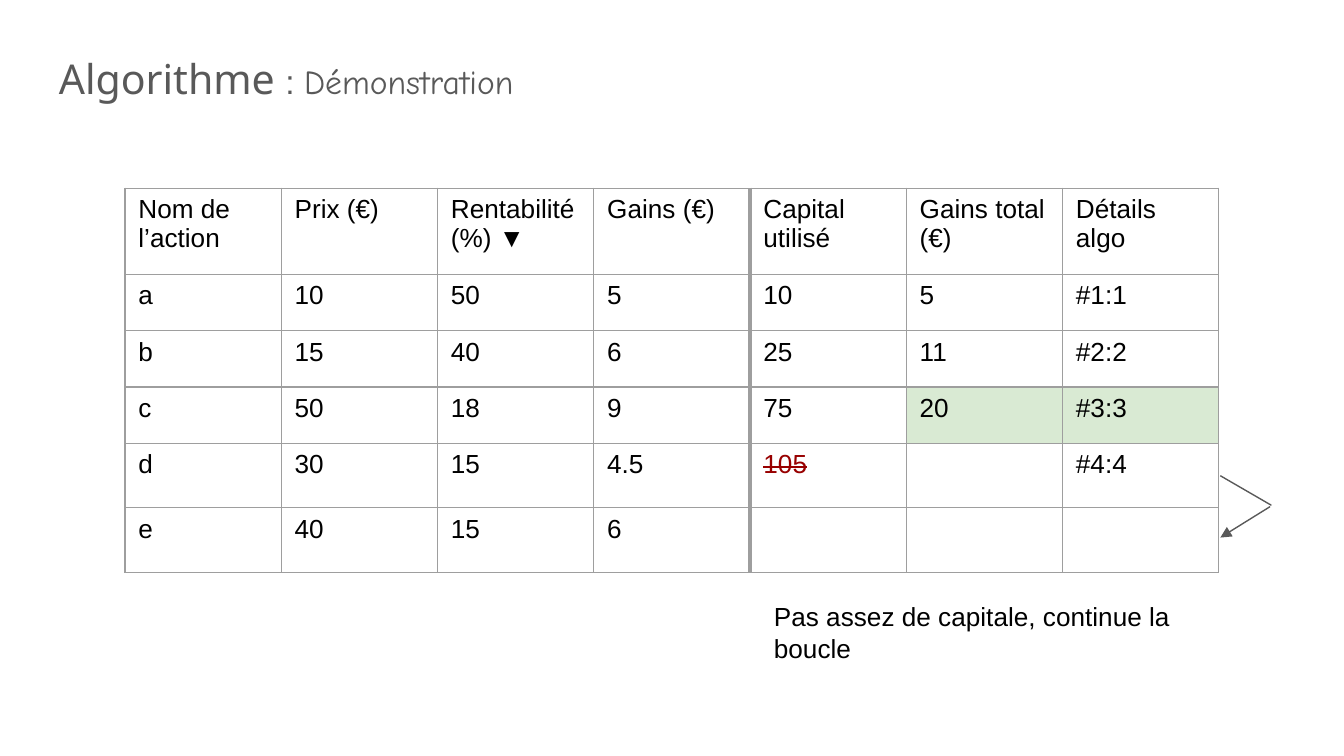
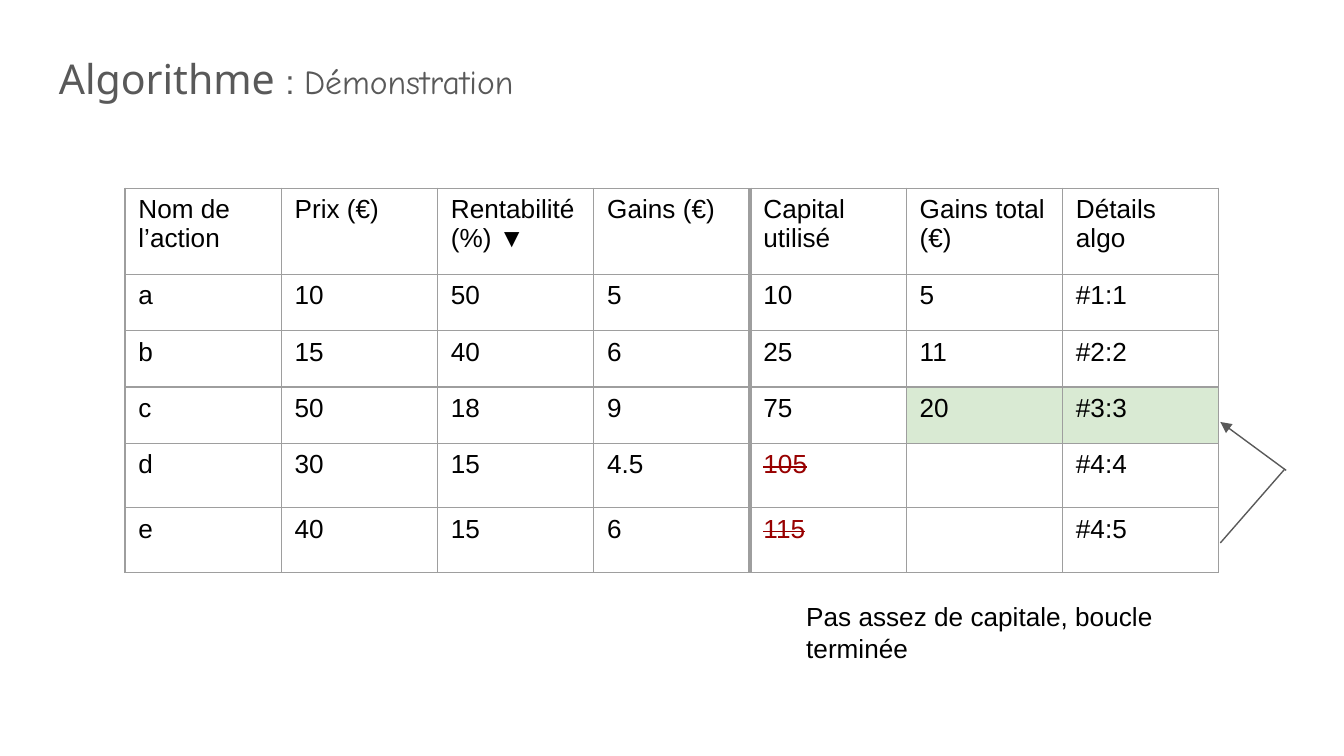
from dataclasses import dataclass

from lxml import etree
from pptx import Presentation
from pptx.dml.color import RGBColor
from pptx.enum import shapes, text
from pptx.oxml import ns
from pptx.util import Inches, Pt

BLACK, GREY, EDGE = "000000", "595959", "9E9E9E"
RED, GREEN, WHITE = "980000", "D9EAD3", "FFFFFF"

HEAD = ["Nom de l’action", "Prix (€)", "Rentabilité (%) ▼", "Gains (€)",
        "Capital utilisé", "Gains total (€)", "Détails algo"]
BASE = [
    ["a", "10", "50", "5", "10", "5", "#1:1"],
    ["b", "15", "40", "6", "25", "11", "#2:2"],
    ["c", "50", "18", "9", "75", "20", "#3:3"],
    ["d", "30", "15", "4.5", "105", "", "#4:4"],
]
HEIGHTS = [0.64, 0.42, 0.42, 0.42, 0.48, 0.48]
LEFT, TOP, WIDTH = 0.93, 1.4, 8.14
BUDGET = 100  # a higher capital is struck out
CAPITAL = 4  # column to the right of the thick rule
FILLS = {(3, c): WHITE for c in range(5)}
FILLS |= {(3, c): GREEN for c in (5, 6)}
FILLS |= {(5, c): WHITE for c in (5, 6)}


@dataclass
class Run:
    words: str
    size: float = 14
    font: str = "Arial"
    color: str = BLACK
    strike: bool = False


@dataclass
class Arrow:
    x1: float
    y1: float
    x2: float
    y2: float
    tip: bool = False


@dataclass
class Step:
    last: list[str]
    note: str
    left: float
    width: float
    arrows: list[Arrow]


TITLE = [Run("Algorithme ", 22, "Noto Sans", GREY), Run(": ", 18, color=GREY),
         Run("Démonstration", 18, "Comic Neue", GREY)]

STEPS = [
    Step(["e", "40", "15", "6", "", "", ""],
         "Pas assez de capitale, continue la boucle", 5.66, 3.55,
         [Arrow(9.45, 3.77, 9.08, 4, True), Arrow(9.08, 3.54, 9.46, 3.76)]),
    Step(["e", "40", "15", "6", "115", "", "#4:5"],
         "Pas assez de capitale, boucle terminée", 5.9, 3.51,
         [Arrow(9.08, 4.04, 9.56, 3.49), Arrow(9.57, 3.5, 9.08, 3.14, True)]),
]


def rgb(code: str) -> RGBColor:
    return RGBColor.from_string(code)


def add_run(para, run: Run) -> None:
    item = para.add_run()
    item.text = run.words
    font = item.font
    font.size, font.name = Pt(run.size), run.font
    font.color.rgb = rgb(run.color)
    if run.strike:
        font._element.set("strike", "sngStrike")


def add_text(slide, left: float, top: float, width: float, height: float,
             runs: list[Run]):
    box = slide.shapes.add_textbox(Inches(left), Inches(top),
                                   Inches(width), Inches(height))
    frame = box.text_frame
    frame.word_wrap = True
    frame.margin_left = frame.margin_right = Inches(0.1)
    frame.margin_top = frame.margin_bottom = Inches(0.1)
    for run in runs:
        add_run(frame.paragraphs[0], run)
    return frame


def add_edge(cell, side: str, width: float) -> None:
    props = cell._tc.get_or_add_tcPr()
    line = etree.SubElement(props, ns.qn(f"a:ln{side}"), w=str(Pt(width)))
    fill = etree.SubElement(line, ns.qn("a:solidFill"))
    etree.SubElement(fill, ns.qn("a:srgbClr"), val=EDGE)


def add_grid(slide, rows: list[list[str]]) -> None:
    shape = slide.shapes.add_table(len(rows), len(HEAD), Inches(LEFT), Inches(TOP),
                                   Inches(WIDTH), Inches(sum(HEIGHTS)))
    grid = shape.table
    grid.first_row = grid.horz_banding = False
    for col in grid.columns:
        col.width = Inches(WIDTH / len(HEAD))
    for r, (row, height) in enumerate(zip(rows, HEIGHTS)):
        grid.rows[r].height = Inches(height)
        for c, words in enumerate(row):
            cell = grid.cell(r, c)
            cell.margin_left = cell.margin_right = Inches(0.1)
            cell.margin_top = cell.margin_bottom = Inches(0.05)
            # Borders go before the fill
            for side in "LRTB":
                thick = (c, side) in {(CAPITAL - 1, "R"), (CAPITAL, "L")}
                add_edge(cell, side, 2.21 if thick else 0.75)
            if (r, c) in FILLS:
                cell.fill.solid()
                cell.fill.fore_color.rgb = rgb(FILLS[r, c])
            else:
                cell.fill.background()
            if words:
                over = r > 0 and c == CAPITAL and int(words) > BUDGET
                add_run(cell.text_frame.paragraphs[0],
                        Run(words, color=RED if over else BLACK, strike=over))


def add_arrow(slide, arrow: Arrow) -> None:
    line = slide.shapes.add_connector(
        shapes.MSO_CONNECTOR.STRAIGHT, Inches(arrow.x1), Inches(arrow.y1),
        Inches(arrow.x2), Inches(arrow.y2))
    line.line.color.rgb = rgb(GREY)
    line.line.width = Pt(0.75)
    if arrow.tip:
        etree.SubElement(line.line._get_or_add_ln(), ns.qn("a:tailEnd"), type="triangle")
    etree.SubElement(line._element.spPr, ns.qn("a:effectLst"))


def add_step(deck, step: Step) -> None:
    slide = deck.slides.add_slide(deck.slide_layouts[6])
    add_grid(slide, [HEAD, *BASE, step.last])
    # Note under the table
    note = add_text(slide, step.left, 4.37, step.width, 0.67, [Run(step.note)])
    note.auto_size = text.MSO_AUTO_SIZE.SHAPE_TO_FIT_TEXT
    # Loop marks beside the table
    for arrow in step.arrows:
        add_arrow(slide, arrow)
    # Title
    para = add_text(slide, 0.34, 0.24, 9.32, 0.62, TITLE).paragraphs[0]
    para.line_spacing, para.space_after = 1.15, Pt(12)


def main() -> None:
    deck = Presentation()
    # Widescreen, 16:9
    deck.slide_width, deck.slide_height = Inches(10), Inches(10 * 9 / 16)
    for step in STEPS:
        add_step(deck, step)
    deck.save("out.pptx")


if __name__ == "__main__":
    main()
